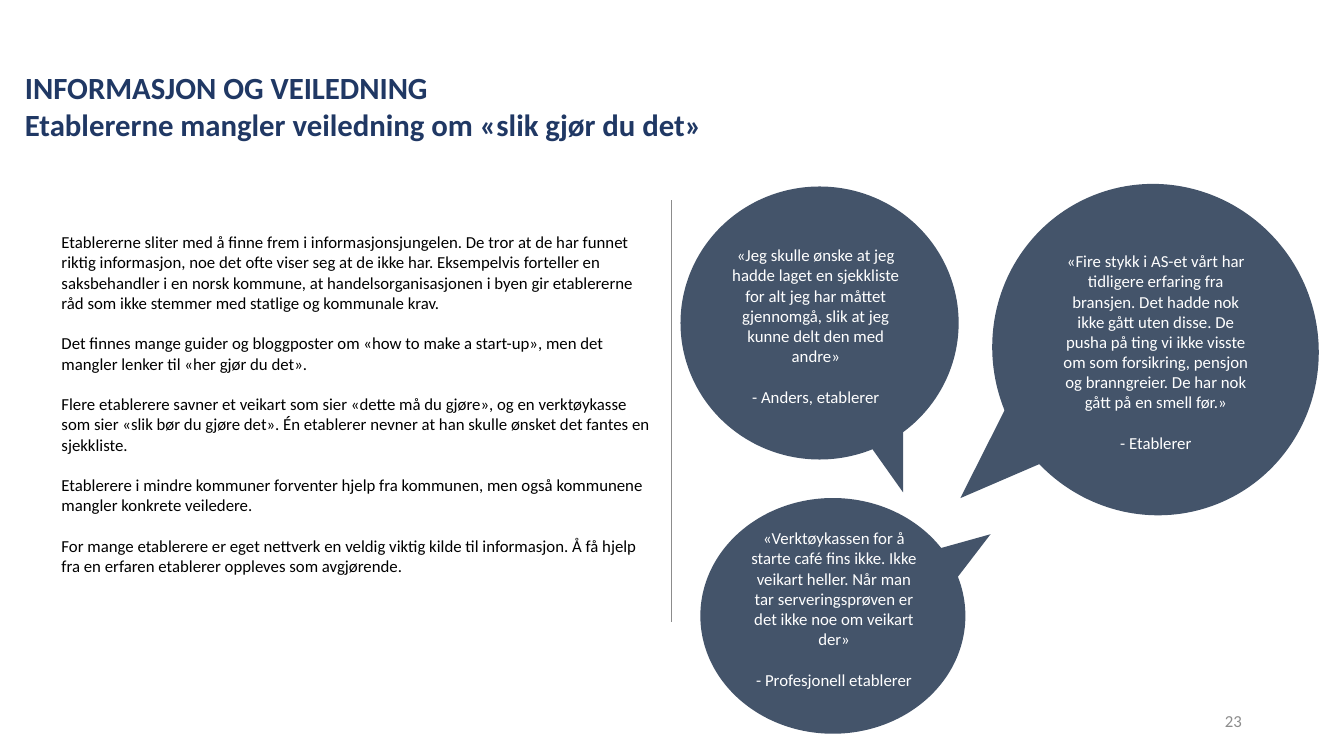
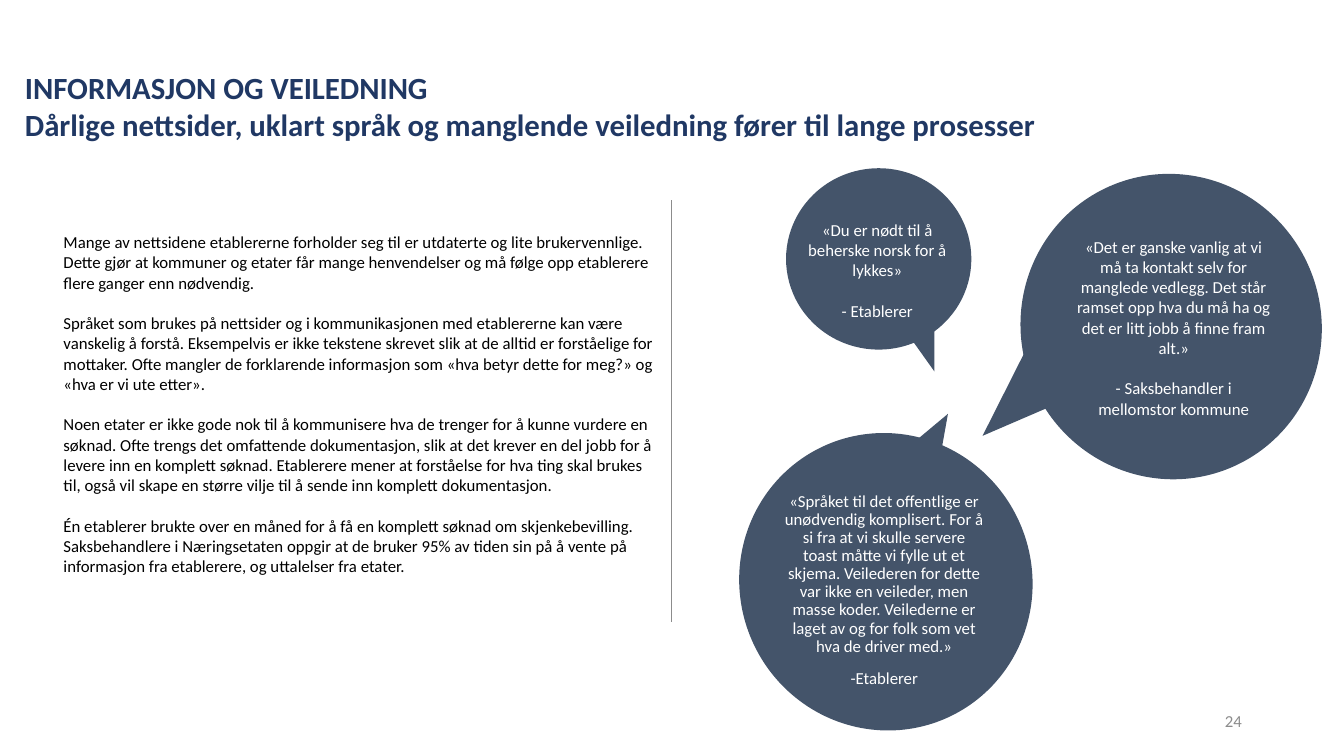
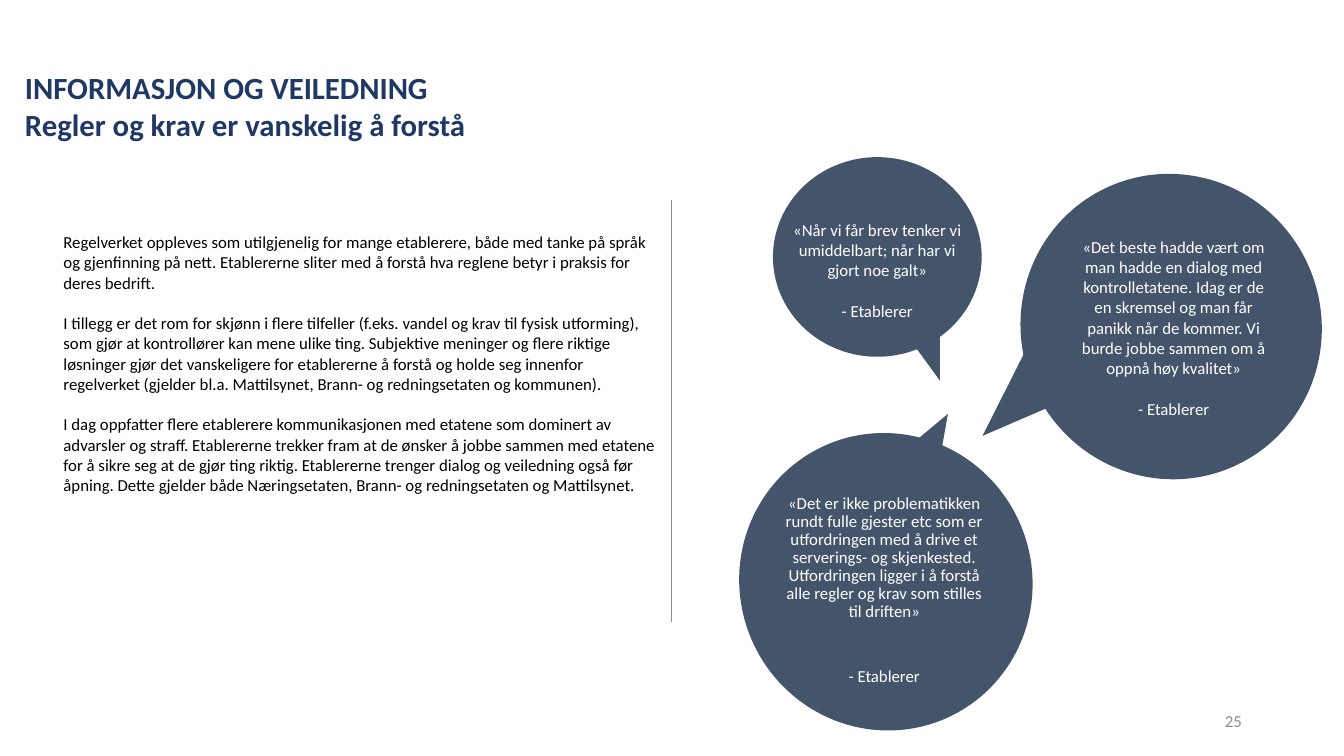
from dataclasses import dataclass

from lxml.etree import SubElement
from pptx import Presentation
from pptx.dml.color import RGBColor
from pptx.enum.shapes import MSO_CONNECTOR, MSO_SHAPE
from pptx.enum.text import MSO_ANCHOR, PP_ALIGN
from pptx.oxml.ns import qn
from pptx.util import Cm, Pt


@dataclass(frozen=True)
class Theme:
    font: str = "Calibri"
    heading: str = "203864"
    text: str = "000000"
    bubble: str = "44546A"
    quote: str = "FFFFFF"
    muted: str = "8C8C8C"
    title_size: float = 22
    body_size: float = 12
    blank_line: float = 14.65
    rule_width: float = 0.5


@dataclass(frozen=True)
class Bubble:
    circle: tuple
    tail: tuple
    text: tuple
    tilt: float = 0
    tail_turn: float = 0
    flipped: bool = False
    line_spacing: float = 1.0


THEME = Theme()
CHAPTER = "INFORMASJON OG VEILEDNING"
FIRST_PAGE = 23
TITLE_AREA = (0.38, 1.57, 33.1, 2.16)
NUMBER_AREA = (23.93, 17.65, 7.62, 1.02)
DIVIDER_X, DIVIDER_TOP, DIVIDER_BOTTOM = 16.92, 5.05, 15.67


def top_bubble(circle, text):
    left, top, width, height = circle
    tail = (left + 0.25 * width, top + 0.33 * height, 0.55 * width, 0.79 * height)
    return Bubble(circle, tail, text, tail_turn=180)


def right_bubble(circle, tail, text):
    return Bubble(circle, tail, text, 336.3, 336.7, True)


def bottom_bubble(text):
    return Bubble((18.64, 10.9, 7.37, 7.52), (22.45, 10.95, 2.34, 1.96),
                  text, 336.3, 140.1, True, 0.9)


SMALL_QUOTE = (19.71, 5.41, 4.8, 2.82)
RIGHT = right_bubble((25.73, 4.37, 7.57, 7.72), (24.28, 8.64, 2.34, 1.96),
                     (26.85, 5.84, 5.46, 5.38))

PAGES = [
    {
        "title": "Etablererne mangler veiledning om «slik gjør du det»",
        "body_area": (1.3, 5.72, 15.47, 9.65),
        "body": [
            "Etablererne sliter med å finne frem i informasjonsjungelen. De tror at de har funnet riktig informasjon, noe det ofte viser seg at de ikke har. Eksempelvis forteller en saksbehandler i en norsk kommune, at handelsorganisasjonen i byen gir etablererne råd som ikke stemmer med statlige og kommunale krav.",
            "Det finnes mange guider og bloggposter om «how to make a start-up», men det mangler lenker til «her gjør du det».",
            "Flere etablerere savner et veikart som sier «dette må du gjøre», og en verktøykasse som sier «slik bør du gjøre det». Én etablerer nevner at han skulle ønsket det fantes en sjekkliste.",
            "Etablerere i mindre kommuner forventer hjelp fra kommunen, men også kommunene mangler konkrete veiledere.",
            "For mange etablerere er eget nettverk en veldig viktig kilde til informasjon. Å få hjelp fra en erfaren etablerer oppleves som avgjørende.",
        ],
        "quotes": [
            (top_bubble((17.15, 4.7, 7.01, 6.88), (18.16, 6.05, 4.8, 4.37)),
             "«Jeg skulle ønske at jeg hadde laget en sjekkliste for alt jeg har måttet gjennomgå, slik at jeg kunne delt den med andre»",
             "- Anders, etablerer", THEME.blank_line),
            (right_bubble((25.02, 4.62, 8.2, 8.38), (23.72, 10.21, 2.34, 1.96),
                          (26.49, 6.2, 5.28, 5.89)),
             "«Fire stykk i AS-et vårt har tidligere erfaring fra bransjen. Det hadde nok ikke gått uten disse. De pusha på ting vi ikke visste om som forsikring, pensjon og branngreier. De har nok gått på en smell før.»",
             "- Etablerer", THEME.blank_line),
            (Bubble((17.65, 12.55, 6.68, 5.94), (22.25, 12.95, 2.46, 1.85),
                    (18.62, 13.18, 4.8, 4.88), tail_turn=307.5),
             "«Verktøykassen for å starte café fins ikke. Ikke veikart heller. Når man tar serveringsprøven er det ikke noe om veikart der»",
             "- Profesjonell etablerer", THEME.blank_line),
        ],
    },
    {
        "title": "Dårlige nettsider, uklart språk og manglende veiledning fører til lange prosesser",
        "body_area": (1.35, 5.72, 15.57, 10.52),
        "body": [
            "Mange av nettsidene etablererne forholder seg til er utdaterte og lite brukervennlige. Dette gjør at kommuner og etater får mange henvendelser og må følge opp etablerere flere ganger enn nødvendig.",
            "Språket som brukes på nettsider og i kommunikasjonen med etablererne kan være vanskelig å forstå. Eksempelvis er ikke tekstene skrevet slik at de alltid er forståelige for mottaker. Ofte mangler de forklarende informasjon som «hva betyr dette for meg?» og «hva er vi ute etter».",
            "Noen etater er ikke gode nok til å kommunisere hva de trenger for å kunne vurdere en søknad. Ofte trengs det omfattende dokumentasjon, slik at det krever en del jobb for å levere inn en komplett søknad. Etablerere mener at forståelse for hva ting skal brukes til, også vil skape en større vilje til å sende inn komplett dokumentasjon.",
            "Én etablerer brukte over en måned for å få en komplett søknad om skjenkebevilling. Saksbehandlere i Næringsetaten oppgir at de bruker 95% av tiden sin på å vente på informasjon fra etablerere, og uttalelser fra etater.",
        ],
        "quotes": [
            (top_bubble((19.81, 4.24, 4.67, 4.57), SMALL_QUOTE),
             "«Du er nødt til å beherske norsk for å lykkes»",
             "- Etablerer", THEME.blank_line),
            (RIGHT,
             "«Det er ganske vanlig at vi må ta kontakt selv for manglede vedlegg. Det står ramset opp hva du må ha og det er litt jobb å finne fram alt.»",
             "- Saksbehandler i mellomstor kommune", THEME.blank_line),
            (bottom_bubble((19.53, 12.29, 5.51, 5.23)),
             "«Språket til det offentlige er unødvendig komplisert. For å si fra at vi skulle servere toast måtte vi fylle ut et skjema. Veilederen for dette var ikke en veileder, men masse koder. Veilederne er laget av og for folk som vet hva de driver med.»",
             "-Etablerer", 10),
        ],
    },
    {
        "title": "Regler og krav er vanskelig å forstå",
        "body_area": (1.35, 5.72, 15.57, 10.52),
        "body": [
            "Regelverket oppleves som utilgjenelig for mange etablerere, både med tanke på språk og gjenfinning på nett. Etablererne sliter med å forstå hva reglene betyr i praksis for deres bedrift.",
            "I tillegg er det rom for skjønn i flere tilfeller (f.eks. vandel og krav til fysisk utforming), som gjør at kontrollører kan mene ulike ting. Subjektive meninger og flere riktige løsninger gjør det vanskeligere for etablererne å forstå og holde seg innenfor regelverket (gjelder bl.a. Mattilsynet, Brann- og redningsetaten og kommunen).",
            "I dag oppfatter flere etablerere kommunikasjonen med etatene som dominert av advarsler og straff. Etablererne trekker fram at de ønsker å jobbe sammen med etatene for å sikre seg at de gjør ting riktig. Etablererne trenger dialog og veiledning også før åpning. Dette gjelder både Næringsetaten, Brann- og redningsetaten og Mattilsynet.",
        ],
        "quotes": [
            (top_bubble((19.48, 3.96, 5.26, 5.03), SMALL_QUOTE),
             "«Når vi får brev tenker vi umiddelbart; når har vi gjort noe galt»",
             "- Etablerer", THEME.blank_line),
            (RIGHT,
             "«Det beste hadde vært om man hadde en dialog med kontrolletatene. Idag er de en skremsel og man får panikk når de kommer. Vi burde jobbe sammen om å oppnå høy kvalitet»",
             "- Etablerer", THEME.blank_line),
            (bottom_bubble((19.53, 12.34, 5.51, 5.13)),
             "«Det er ikke problematikken rundt fulle gjester etc som er utfordringen med å drive et serverings- og skjenkested. Utfordringen ligger i å forstå alle regler og krav som stilles til driften»",
             "- Etablerer", 33),
        ],
    },
]


def to_cm(area):
    return [Cm(length) for length in area]


def add_text(page, area, lines, color, size=THEME.body_size, bold=False,
             align=PP_ALIGN.LEFT, anchor=MSO_ANCHOR.TOP, gap=0, line_spacing=1.0):
    box = page.shapes.add_textbox(*to_cm(area))
    frame = box.text_frame
    frame.word_wrap = True
    frame.vertical_anchor = anchor
    frame.text = "\n".join(lines)
    for index, para in enumerate(frame.paragraphs):
        para.alignment = align
        para.line_spacing = line_spacing
        para.space_before = Pt(gap if index else 0)
        for span in para.runs:
            span.font.name = THEME.font
            span.font.size = Pt(size)
            span.font.bold = bold
            span.font.color.rgb = RGBColor.from_string(color)


def add_bubble_part(page, kind, area, turn, flipped):
    shape = page.shapes.add_shape(kind, *to_cm(area))
    shape.shadow.inherit = False
    shape.fill.solid()
    shape.fill.fore_color.rgb = RGBColor.from_string(THEME.bubble)
    shape.line.fill.background()
    shape.rotation = turn
    if flipped:
        shape._element.spPr.find(qn("a:xfrm")).set("flipH", "1")


def add_quote(page, bubble, quote, speaker, gap):
    add_bubble_part(page, MSO_SHAPE.OVAL, bubble.circle, bubble.tilt, bubble.flipped)
    add_bubble_part(page, MSO_SHAPE.RIGHT_TRIANGLE, bubble.tail, bubble.tail_turn, bubble.flipped)
    add_text(page, bubble.text, [quote, speaker], THEME.quote, align=PP_ALIGN.CENTER,
             gap=gap, line_spacing=bubble.line_spacing)


def add_divider(page):
    divider = page.shapes.add_connector(
        MSO_CONNECTOR.STRAIGHT,
        *to_cm((DIVIDER_X, DIVIDER_BOTTOM, DIVIDER_X, DIVIDER_TOP)))
    divider.line.color.rgb = RGBColor.from_string(THEME.muted)
    divider.line.width = Pt(THEME.rule_width)
    SubElement(divider._element.spPr, qn("a:effectLst"))


def add_page(deck, number, content):
    page = deck.slides.add_slide(deck.slide_layouts[6])
    add_text(page, TITLE_AREA, [CHAPTER, content["title"]], THEME.heading,
             size=THEME.title_size, bold=True, anchor=MSO_ANCHOR.BOTTOM)
    add_text(page, content["body_area"], content["body"], THEME.text, gap=THEME.blank_line)
    add_divider(page)
    for quote in content["quotes"]:
        add_quote(page, *quote)
    add_text(page, NUMBER_AREA, [str(number)], THEME.muted,
             align=PP_ALIGN.RIGHT, anchor=MSO_ANCHOR.MIDDLE)


def main():
    deck = Presentation()
    deck.slide_width, deck.slide_height = Cm(33.87), Cm(19.05)
    for number, content in enumerate(PAGES, FIRST_PAGE):
        add_page(deck, number, content)
    deck.save("out.pptx")


if __name__ == "__main__":
    main()
